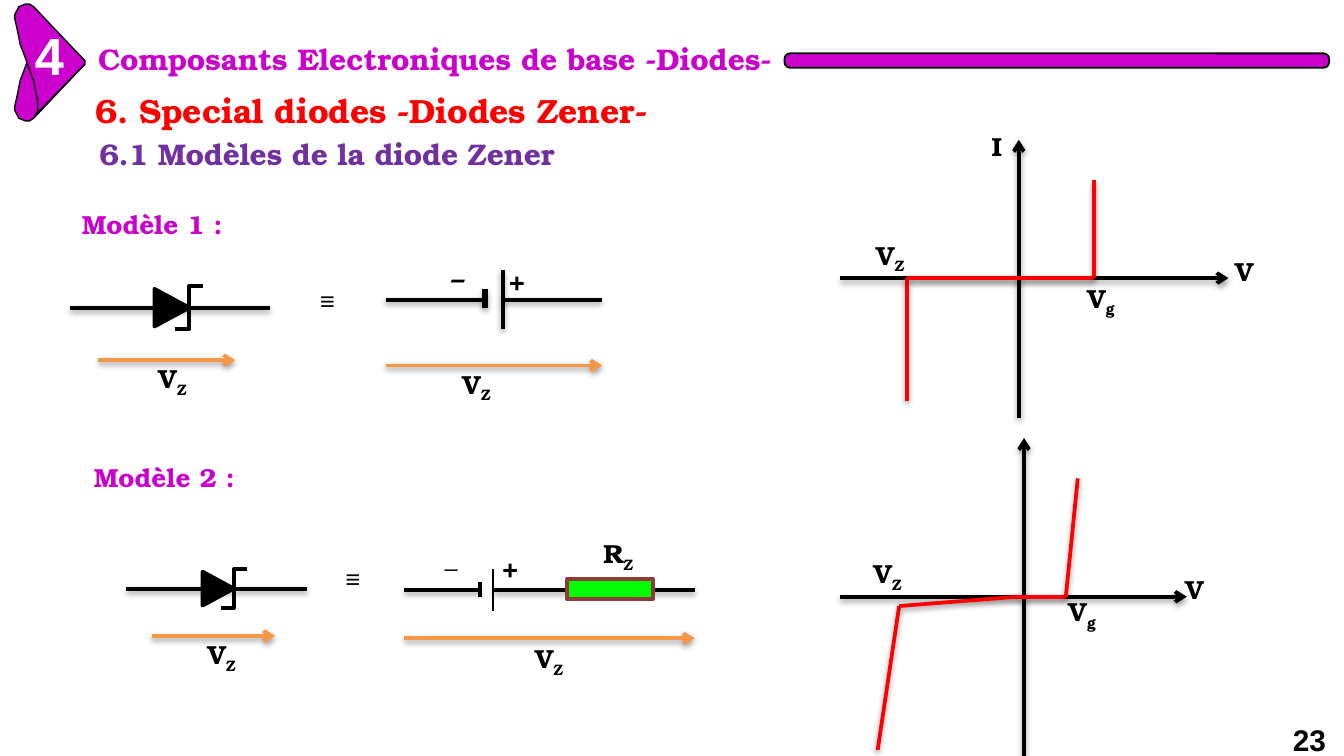
from itertools import pairwise

from lxml import etree
from pptx import Presentation
from pptx.dml.color import RGBColor
from pptx.enum.shapes import MSO_CONNECTOR, MSO_SHAPE
from pptx.enum.text import MSO_ANCHOR, MSO_AUTO_SIZE, PP_ALIGN
from pptx.oxml import parse_xml
from pptx.oxml.ns import nsdecls, qn
from pptx.util import Pt

STRAIGHT, ELBOW = MSO_CONNECTOR.STRAIGHT, MSO_CONNECTOR.ELBOW
RECTANGLE, ROUNDED = MSO_SHAPE.RECTANGLE, MSO_SHAPE.ROUNDED_RECTANGLE
TRIANGLE = MSO_SHAPE.ISOSCELES_TRIANGLE
LEFT, TOP, NO_FIT = PP_ALIGN.LEFT, MSO_ANCHOR.TOP, MSO_AUTO_SIZE.NONE

SERIF, SANS = "TeX Gyre Bonum", "Arial"
MAGENTA, RED, PURPLE, ORANGE = "CC00CC", "FF0000", "7030A0", "F79646"
BLACK, WHITE, GREEN, BROWN = "000000", "FFFFFF", "00FF00", "8E3B39"

TITLE = "Composants Electroniques de base -Diodes-"
HEADINGS = [
    ("6. Special diodes -Diodes Zener-", (43.9, 44.6, 508, 29), 18, RED, -10),
    ("6.1 Modèles de la diode Zener", (46.1, 69, 361, 27), 16, PURPLE, -10),
    ("Modèle 1 :", (36.7, 108, 95, 24.5), 14, MAGENTA, 0),
    ("Modèle 2 :", (43.2, 243.4, 95, 24.5), 14, MAGENTA, 0),
    ("≡", (161.3, 148.3, 22.3, 24.5), 14, BLACK, 0),
    ("≡", (175, 297.4, 22.3, 24.5), 14, BLACK, 0),
]
BADGE_OUTLINE = [
    (13.7, 2.2), (10.1, 3.6), (7.9, 7.9), (7.9, 10.1), (8.6, 13), (9.4, 16.6),
    (10.1, 20.2), (10.8, 23.8), (12.2, 27.4), (15.1, 35.3), (16.6, 39.6),
    (18, 43.2), (18.7, 46.8), (19.4, 50.4), (20.2, 54), (20.2, 56.9),
    (20.2, 59.8), (18.7, 61.9), (44.6, 35.3), (45.4, 34.6), (45.4, 32.4),
    (44.6, 31.7), (18, 3.6), (15.8, 2.2),
]
BADGE_MIRROR = 67

ZENERS = [
    {"left": 37.4, "axis": 164.9, "scale": 1},
    {"left": 67.7, "axis": 315.4, "scale": 0.9},
]
BATTERIES = [
    {"left": 206.6, "minus": 259.9, "plus": 269.3, "right": 322.6, "axis": 160.6,
     "short": (154.8, 164.9, 3), "long": (144.7, 176.4, 2), "arrow": 195.8},
    {"left": 216.7, "minus": 257, "plus": 264.2, "right": 372.2, "axis": 316.1,
     "short": (311.8, 319.7, 2.25), "long": (304.6, 327.6, 0.75), "arrow": 342},
]
RESISTOR = (303.8, 310.3, 46.1, 10.8)
CHARACTERISTICS = [
    {"horizontal": (450, 149, 658.1, 149), "vertical": (545.8, 223.9, 545.8, 74.9),
     "curve": [(486, 214.6), (486, 149), (586.1, 149), (586.1, 96.5)]},
    {"horizontal": (450, 319.7, 635.8, 319.7), "vertical": (548.6, 405, 548.6, 234.7),
     "curve": [(470.2, 401.8), (481.7, 324.7), (545, 319.7), (571, 319.7), (577.4, 256.3)]},
]
LABELS = [
    ("–", "", (234.7, 136.8, 38.9, 33.1), True),
    ("+", "", (265.7, 138.2, 41.8, 33.1), True),
    ("V", "Z", (240.5, 193.7, 39.6, 33.1), True),
    ("V", "g", (575.3, 147.6, 50.4, 29.5), True),
    ("V", "", (654.5, 133.2, 50.4, 29.5), True),
    ("I", "", (524.2, 66.2, 50.4, 29.5), True),
    ("V", "Z", (462.2, 124.6, 50.4, 29.5), True),
    ("R", "Z", (316.1, 284.4, 44.6, 24.5), True),
    ("–", "", (231.1, 291.6, 28.8, 24.5), False),
    ("+", "", (262.1, 291.6, 31.7, 24.5), True),
    ("V", "Z", (279.4, 340.6, 44.6, 24.5), True),
    ("V", "g", (565.2, 315.4, 45.4, 28.8), True),
    ("V", "", (627.8, 303.8, 45.4, 28.8), True),
    ("V", "Z", (460.8, 295.2, 45.4, 28.8), True),
]

presentation = Presentation()
presentation.slide_width, presentation.slide_height = Pt(720), Pt(405)
slide = presentation.slides.add_slide(presentation.slide_layouts[5])
shapes = slide.shapes


def color(value):
    return RGBColor.from_string(value)


def write(shape, text, subscript="", size=14, font=SERIF, ink=BLACK, bold=True,
          margins=(7.2, 3.6), wrap=True, spacing=0, line_spacing=None):
    frame = shape.text_frame
    frame.auto_size, frame.word_wrap, frame.vertical_anchor = NO_FIT, wrap, TOP
    frame.margin_left = frame.margin_right = Pt(margins[0])
    frame.margin_top = frame.margin_bottom = Pt(margins[1])
    paragraph = frame.paragraphs[0]
    paragraph.alignment = LEFT
    if line_spacing:
        paragraph.line_spacing = Pt(line_spacing)
    for part, baseline in ((text, 0), (subscript, -25000)):
        if part:
            run = paragraph.add_run()
            run.text = part
            run.font.name, run.font.size, run.font.bold = font, Pt(size), bold
            run.font.color.rgb = color(ink)
            properties = run.font._element
            if baseline:
                properties.set("baseline", str(baseline))
            if spacing:
                properties.set("spc", str(spacing))


def add_text(text, box, **formatting):
    write(shapes.add_textbox(*map(Pt, box)), text, **formatting)


def paint(shape, fill, line, width):
    shape.shadow.inherit = False
    shape.fill.solid()
    shape.fill.fore_color.rgb = color(fill)
    shape.line.color.rgb = color(line)
    shape.line.width = Pt(width)
    return shape


def add_block(kind, box, fill, line, width):
    return paint(shapes.add_shape(kind, *map(Pt, box)), fill, line, width)


def add_label(text, subscript, box, bold=True):
    write(add_block(RECTANGLE, box, WHITE, WHITE, 0.75), text, subscript, bold=bold)


def add_line(x1, y1, x2, y2, ink=BLACK, width=2, arrow=False, shadow=True, kind=STRAIGHT):
    line = shapes.add_connector(kind, *map(Pt, (x1, y1, x2, y2)))
    line.line.color.rgb = color(ink)
    line.line.width = Pt(width)
    if arrow:
        etree.SubElement(line.line._get_or_add_ln(), qn("a:tailEnd"), type="arrow")
    effect = ('<a:outerShdw blurRad="40000" dist="20000" dir="5400000" rotWithShape="0">'
              '<a:srgbClr val="000000"><a:alpha val="38000"/></a:srgbClr></a:outerShdw>')
    line._element.spPr.append(parse_xml(
        f'<a:effectLst {nsdecls("a")}>{effect if shadow else ""}</a:effectLst>'))


def add_badge(points):
    start, *rest = [(Pt(x), Pt(y)) for x, y in points]
    builder = shapes.build_freeform(*start)
    builder.add_line_segments(rest, close=True)
    paint(builder.convert_to_shape(), MAGENTA, BLACK, 0.75)


def add_zener(left, axis, scale):
    def x(offset):
        return left + offset * scale

    def y(offset):
        return axis + offset * scale

    add_label("V", "Z", (x(40.3), y(25.9), 31, 25.5))
    add_line(left, axis, x(107.3), axis)
    triangle = add_block(TRIANGLE, (x(44.6), y(-9.4), 20.2 * scale, 18.7 * scale),
                         BLACK, BLACK, 2)
    triangle.rotation = 90
    add_line(x(56.2), y(11.5), x(71.6), y(-11.5), width=2.25, shadow=False, kind=ELBOW)
    add_line(x(15.1), y(28.1), x(88.6), y(28.1), ORANGE, arrow=True)


def add_battery(battery):
    left, right, axis = battery["left"], battery["right"], battery["axis"]
    minus, plus, arrow = battery["minus"], battery["plus"], battery["arrow"]
    add_line(left, axis, minus, axis)
    add_line(plus, axis, right, axis)
    for position, (top, bottom, width) in ((minus, battery["short"]), (plus, battery["long"])):
        add_line(position, top, position, bottom, width=width, shadow=width in (2, 3))
    add_line(left, arrow, right, arrow, ORANGE, arrow=True)


title = shapes.title
title.left, title.top, title.width, title.height = map(Pt, (52.6, 20.9, 392.4, 39.6))
write(title, TITLE, size=16, ink=MAGENTA, margins=(0, 1))

add_badge([(x, BADGE_MIRROR - y) for x, y in BADGE_OUTLINE])
add_badge(BADGE_OUTLINE)
add_text("4", (18.7, 11.5, 17.3, 35.3), size=28, font=SANS, ink=WHITE, margins=(0, 1))
add_text("23", (692.6, 381.6, 27.4, 21.6), size=16, font=SANS, margins=(0, 0),
         wrap=False, line_spacing=24.3)
title_bar = add_block(ROUNDED, (420.3, 28.6, 291.8, 7.7), MAGENTA, BLACK, 1)
title_bar.adjustments[0] = 0.4

for label in LABELS:
    add_label(*label)
for text, box, size, ink, spacing in HEADINGS:
    add_text(text, box, size=size, ink=ink, spacing=spacing, wrap=False)
for zener in ZENERS:
    add_zener(**zener)
for battery in BATTERIES:
    add_battery(battery)
add_block(RECTANGLE, RESISTOR, GREEN, BROWN, 2)
for characteristic in CHARACTERISTICS:
    add_line(*characteristic["horizontal"], arrow=True)
    add_line(*characteristic["vertical"], arrow=True)
    for start, end in pairwise(characteristic["curve"]):
        add_line(*start, *end, ink=RED)

presentation.save("out.pptx")
